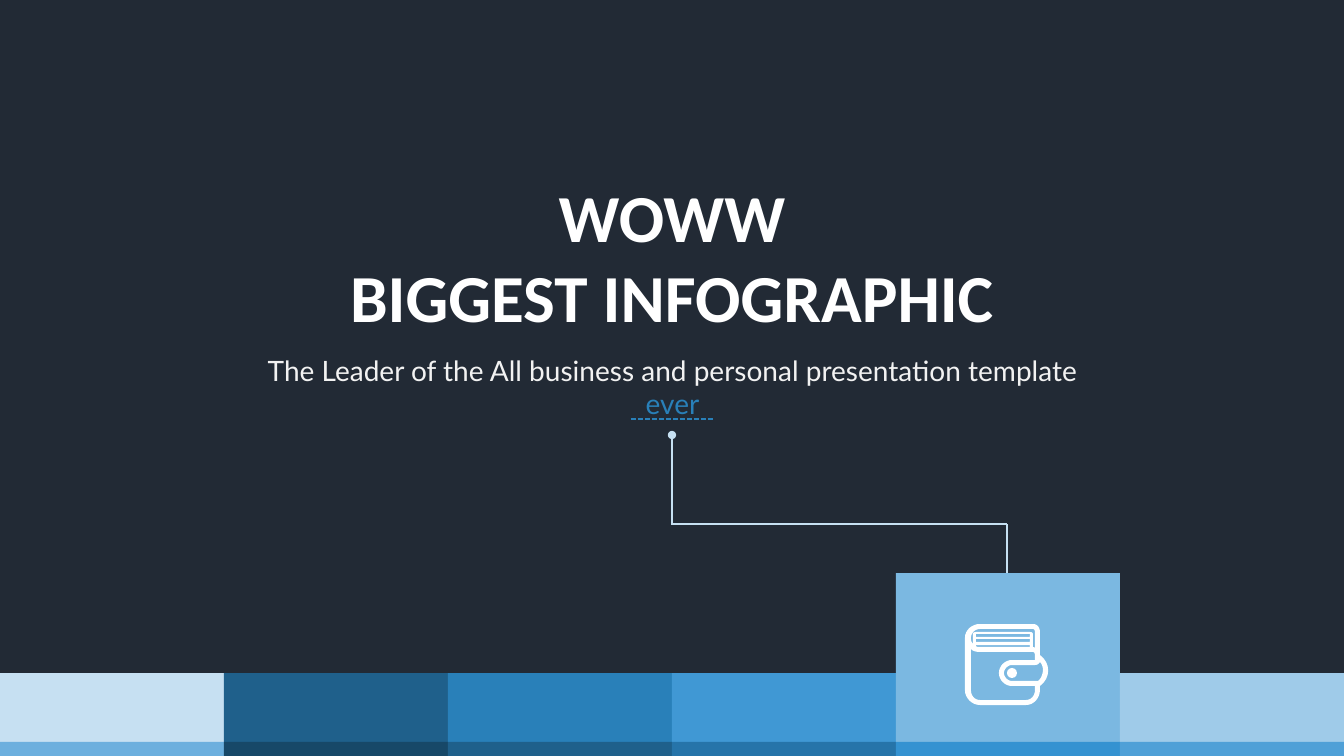
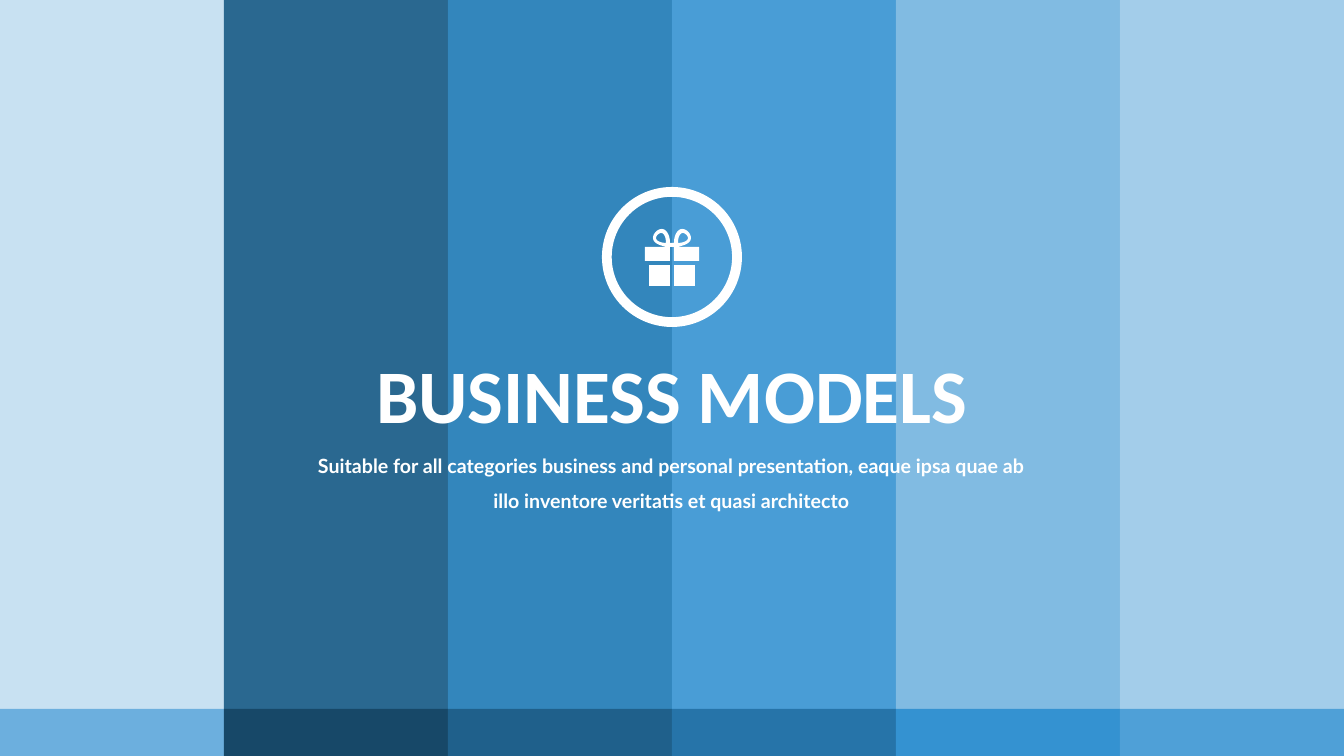
from lxml import etree
from pptx import Presentation
from pptx import util as u
from pptx.dml import color
from pptx.enum import dml, shapes, text
from pptx.oxml import ns

WIDTH, HEIGHT = 1344, 756
SCALE = 12192000 / WIDTH
WHITE, NAVY, PALE, MID, SOFT = "FFFFFF", "222A35", "C6E0F2", "2980B9", "F2F2F2"
BANDS = [PALE, "1F608B", MID, "4098D4", "7BB8E1", "9FCBE9"]
FEET = ["6CAFDE", "174868", "1F608B", "2674A9", "3492D1", "4FA0D7"]

COVER = {
    "background": NAVY,
    "tops": [673, 673, 673, 673, 573, 673],
    "foot_top": 742,
    "opacity": 100,
    "title": [[("WOWW", WHITE)], [("BIGGEST INFOGRAPHIC", WHITE)]],
    "title_box": (337, 170, 670, 173),
    "title_size": 48,
    "tagline": [[("The Leader of the All business and personal presentation template ", SOFT),
                 ("ever", MID)]],
    "tagline_box": (235, 348, 875, 44),
    "tagline_format": dict(size=20),
}
SECTION = {
    "background": WHITE,
    "tops": [0] * 6,
    "foot_top": 709,
    "opacity": 95,
    "title": [[("BUSINESS MODELS", WHITE)]],
    "title_box": (363, 343, 618, 102),
    "title_size": 54,
    "tagline": [[("Suitable for all categories business and personal presentation, "
                  "eaque ipsa quae ab illo inventore veritatis et quasi architecto", WHITE)]],
    "tagline_box": (294, 437, 755, 78),
    "tagline_format": dict(size=14, bold=True, spacing=1.5),
}
CONNECTIONS = [
    ((1007, 524), (672, 524), PALE, {}),
    ((1007, 524), (1007, 573), PALE, {}),
    ((631, 419), (713, 419), MID, {"dashed": True}),
    ((672, 435), (672, 525), PALE, {"dot": True}),
]

# fmt: off
WALLET = [
    [(1040, 655), (1040, 638), (1040, 632), (1040, 627, 1037, 624, 1033, 624), (980, 624),
     (972, 624, 965, 630, 965, 638), (965, 690), (965, 698, 972, 705, 980, 705), (1026, 705),
     (1034, 705, 1040, 698, 1040, 690), (1040, 686), (1051, 678, 1051, 663, 1040, 655)],
    [(980, 629), (1033, 629), (1034, 629, 1035, 630, 1035, 632), (1035, 648),
     (1034, 647, 1033, 647, 1033, 647), (1033, 634), (1033, 633, 1032, 632, 1030, 632), (976, 632),
     (974, 632, 973, 633, 973, 634), (973, 644), (972, 643, 971, 641, 971, 638),
     (971, 633, 975, 629, 980, 629)],
    [(976, 634), (1030, 634), (1030, 637), (976, 637)],
    [(976, 639), (1030, 639), (1030, 642), (976, 642)],
    [(976, 645), (1030, 645), (1030, 647), (980, 647), (978, 647, 977, 647, 976, 646)],
    [(1035, 690), (1035, 696, 1031, 700, 1026, 700), (980, 700), (975, 700, 971, 696, 971, 690),
     (971, 649), (973, 651, 976, 652, 980, 652), (1033, 652), (1034, 652, 1035, 653, 1035, 655),
     (1035, 660), (1012, 660), (1005, 660, 999, 666, 999, 673), (999, 680, 1005, 686, 1012, 686),
     (1035, 686)],
    [(1038, 681), (1012, 681), (1008, 681, 1004, 677, 1004, 673), (1004, 669, 1008, 665, 1012, 665),
     (1035, 665), (1037, 665, 1039, 664, 1040, 662), (1042, 664, 1043, 667, 1043, 670),
     (1043, 674, 1041, 679, 1038, 681)],
]
GIFT_TOP = [
    [(677, 247), (682, 246, 691, 244, 691, 238), (691, 234, 687, 229, 682, 229),
     (679, 229, 674, 233, 674, 243), (670, 243), (670, 233, 665, 229, 662, 229),
     (657, 229, 653, 234, 653, 238), (653, 244, 662, 246, 667, 247), (645, 247), (645, 261),
     (670, 261), (670, 247), (674, 247), (674, 261), (699, 261), (699, 247)],
    [(656, 238), (656, 236, 659, 233, 661, 233), (664, 233, 666, 237, 666, 243),
     (661, 243, 656, 241, 656, 238)],
    [(688, 238), (688, 236, 685, 233, 683, 233), (680, 233, 678, 237, 678, 243),
     (683, 243, 688, 241, 688, 238)],
]
# fmt: on


def px(*lengths):
    return [u.Emu(round(length * SCALE)) for length in lengths]


def rgb(value):
    return color.RGBColor.from_string(value)


def paint(shape, fill, opacity=100):
    shape.fill.solid()
    shape.fill.fore_color.rgb = rgb(fill)
    shape.line.fill.background()
    shape.shadow.inherit = False
    if opacity < 100:
        tint = shape.element.spPr.find(".//" + ns.qn("a:srgbClr"))
        etree.SubElement(tint, ns.qn("a:alpha"), val=str(opacity * 1000))
    return shape


def block(slide, box, fill, kind=shapes.MSO_SHAPE.RECTANGLE, opacity=100):
    return paint(slide.shapes.add_shape(kind, *px(*box)), fill, opacity)


def write(holder, box, lines, size, font, bold=False, wrap=True, spacing=1.0):
    holder.left, holder.top, holder.width, holder.height = px(*box)
    frame = holder.text_frame
    frame.auto_size = text.MSO_AUTO_SIZE.NONE
    frame.word_wrap = wrap
    frame.vertical_anchor = text.MSO_ANCHOR.TOP
    for number, line in enumerate(lines):
        paragraph = frame.add_paragraph() if number else frame.paragraphs[0]
        paragraph.alignment = text.PP_ALIGN.CENTER
        paragraph.space_before = u.Pt(0)
        paragraph.line_spacing = spacing
        for words, tone in line:
            run = paragraph.add_run()
            run.text = words
            run.font.size, run.font.name, run.font.bold = u.Pt(size), font, bold
            run.font.color.rgb = rgb(tone)
    holder.element.getparent().append(holder.element)


def connect(slide, start, end, tone, dashed=False, dot=False):
    link = slide.shapes.add_connector(shapes.MSO_CONNECTOR.STRAIGHT, *px(*start, *end))
    link.line.color.rgb = rgb(tone)
    link.line.width = u.Pt(1.25)
    if dashed:
        link.line.dash_style = dml.MSO_LINE.SQUARE_DOT
    properties = link.element.spPr
    if dot:
        etree.SubElement(properties.find(ns.qn("a:ln")), ns.qn("a:headEnd"), type="oval")
    etree.SubElement(properties, ns.qn("a:effectLst"))


def flatten(contour, steps=8):
    points = []
    for part in contour:
        if len(part) == 2:
            points.append(part)
            continue
        knots = [points[-1], part[:2], part[2:4], part[4:]]
        for step in range(1, steps + 1):
            t = step / steps
            weights = ((1 - t) ** 3, 3 * t * (1 - t) ** 2, 3 * t * t * (1 - t), t ** 3)
            points.append(tuple(sum(w * knot[axis] for w, knot in zip(weights, knots))
                                for axis in (0, 1)))
    return [px(*point) for point in points]


def draw_icon(slide, contours):
    first, *others = [flatten(contour) for contour in contours]
    builder = slide.shapes.build_freeform(*first[0], scale=1.0)
    builder.add_line_segments(first[1:], close=True)
    for points in others:
        builder.move_to(*points[0])
        builder.add_line_segments(points[1:], close=True)
    paint(builder.convert_to_shape(), WHITE)


def base_slide(deck, content):
    slide = deck.slides.add_slide(deck.slide_layouts[0])
    slide.background.fill.solid()
    slide.background.fill.fore_color.rgb = rgb(content["background"])
    step = WIDTH // len(BANDS)
    for column, (top, band) in enumerate(zip(content["tops"], BANDS)):
        block(slide, (column * step, top, step, HEIGHT - top), band, opacity=content["opacity"])
    foot_top = content["foot_top"]
    for column, foot in enumerate(FEET):
        block(slide, (column * step, foot_top, step, HEIGHT - foot_top), foot)
    write(slide.shapes.title, content["title_box"], content["title"],
          size=content["title_size"], font="Calibri", bold=True, wrap=False)
    write(slide.placeholders[1], content["tagline_box"], content["tagline"],
          font="Lato", **content["tagline_format"])
    return slide


def main():
    deck = Presentation()
    deck.slide_width, deck.slide_height = px(WIDTH, HEIGHT)

    cover = base_slide(deck, COVER)
    for start, end, tone, style in CONNECTIONS:
        connect(cover, start, end, tone, **style)
    block(cover, (1007, 668, 10, 10), WHITE, shapes.MSO_SHAPE.OVAL)
    draw_icon(cover, WALLET)

    section = base_slide(deck, SECTION)
    ring = block(section, (602, 187, 140, 140), WHITE, shapes.MSO_SHAPE.DONUT)
    ring.adjustments[0] = 0.07
    for left in (649, 674):
        block(section, (left, 265, 21, 21), WHITE)
    draw_icon(section, GIFT_TOP)

    deck.save("out.pptx")


if __name__ == "__main__":
    main()
